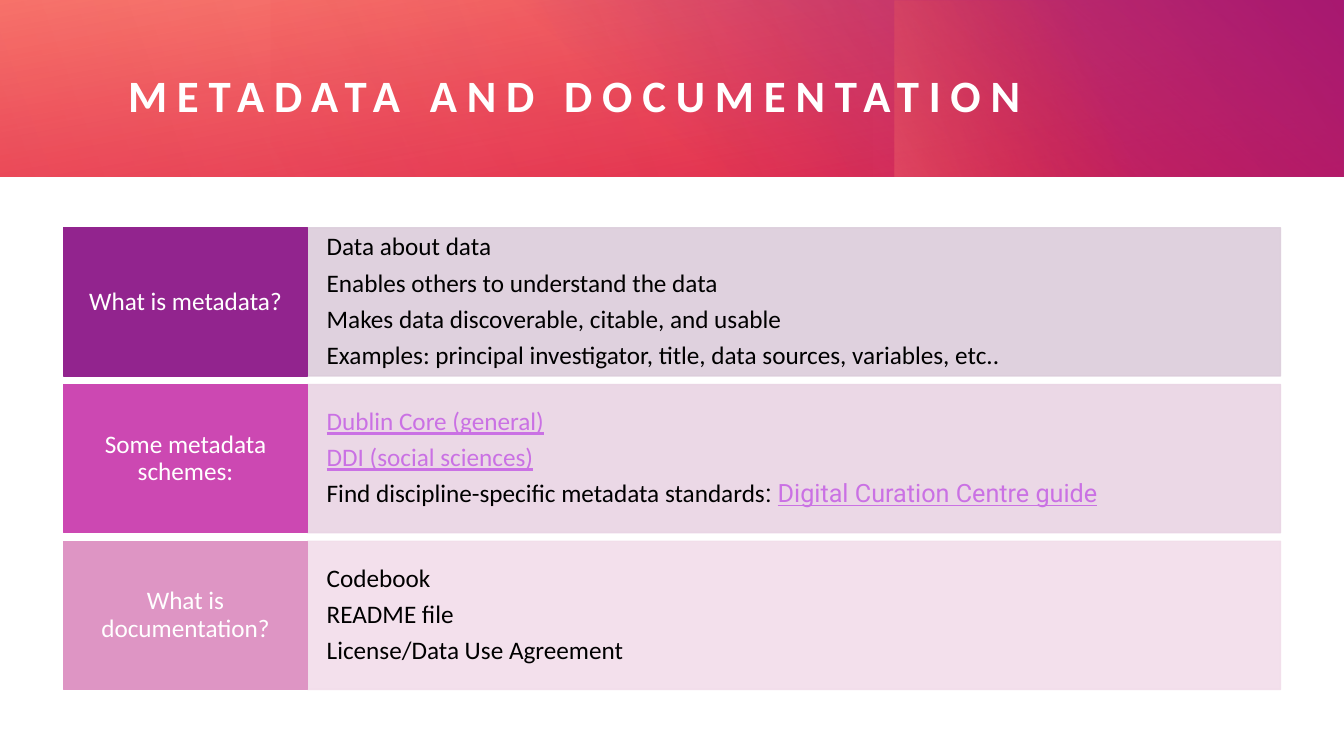
from dataclasses import dataclass

from lxml import etree
from pptx import Presentation
from pptx.dml.color import RGBColor
from pptx.enum.shapes import MSO_SHAPE
from pptx.enum.text import MSO_ANCHOR, MSO_AUTO_SIZE, PP_ALIGN
from pptx.oxml.ns import qn
from pptx.shapes.autoshape import Shape
from pptx.slide import Slide
from pptx.util import Inches, Pt

RECT = MSO_SHAPE.RECTANGLE
MIDDLE = MSO_ANCHOR.MIDDLE
NO_FIT = MSO_AUTO_SIZE.NONE
LEFT, CENTER = PP_ALIGN.LEFT, PP_ALIGN.CENTER

WHITE = RGBColor(0xFF, 0xFF, 0xFF)
BLACK = RGBColor(0x00, 0x00, 0x00)
LINK = RGBColor(0xCA, 0x71, 0xE4)
RED = RGBColor(0xDA, 0x00, 0x2F)
CORAL = RGBColor(0xFF, 0x90, 0x7A)
ORANGE = RGBColor(0xFE, 0x4A, 0x00)
PURPLE = RGBColor(0x92, 0x24, 0x8E)
MAGENTA = RGBColor(0xCC, 0x48, 0xB2)
PINK = RGBColor(0xDE, 0x95, 0xC4)
PALE_PURPLE = RGBColor(0xDC, 0xCD, 0xDB)
PALE_MAGENTA = RGBColor(0xE9, 0xD4, 0xE4)
PALE_PINK = RGBColor(0xF2, 0xDD, 0xEA)

BODY_FONT, ALT_FONT = "Calibri", "Roboto"
BAND_HEIGHT = 1.75
ROW_TOP, ROW_PITCH, ROW_HEIGHT = 2.26, 1.555, 1.47
LABEL_LEFT, LABEL_WIDTH = 0.63, 2.42
DETAIL_LEFT, DETAIL_WIDTH = 3.05, 9.65


@dataclass(frozen=True)
class Stop:
    position: float
    color: RGBColor
    alpha: int = 100


@dataclass(frozen=True)
class Gradient:
    left: float
    top: float
    width: float
    height: float
    angle: int
    start: Stop
    end: Stop
    rotation: int = 0


@dataclass(frozen=True)
class Run:
    text: str
    color: RGBColor = BLACK
    font: str = BODY_FONT
    underline: bool = False


@dataclass(frozen=True)
class Row:
    label: str
    color: RGBColor
    pale: RGBColor
    details: list[list[Run]]


BAND = [
    Gradient(0, 0, 13.33, BAND_HEIGHT, 260, Stop(0, RED, 83), Stop(1, CORAL)),
    Gradient(4.81, 0, 8.52, BAND_HEIGHT, 310, Stop(0.22, PURPLE, 0), Stop(0.99, PURPLE)),
    Gradient(9.87, -0.99, BAND_HEIGHT, 3.74, 250, Stop(0.45, ORANGE, 0), Stop(0.99, CORAL, 33), 270),
    Gradient(2.68, 0, 10.64, BAND_HEIGHT, 330, Stop(0, RED, 30), Stop(0.99, RED, 0), 180),
    Gradient(0, 0, 8.65, BAND_HEIGHT, 340, Stop(0, RED, 21), Stop(0.99, RED, 0)),
]

ROWS = [
    Row("What is metadata?", PURPLE, PALE_PURPLE, [
        [Run("Data about data")],
        [Run("Enables others to understand the data")],
        [Run("Makes data discoverable, citable, and usable")],
        [Run("Examples: principal investigator, title, data sources, variables, etc..")],
    ]),
    Row("Some metadata schemes:", MAGENTA, PALE_MAGENTA, [
        [Run("Dublin Core (general)", LINK, underline=True)],
        [Run("DDI (social sciences)", LINK, underline=True)],
        [Run("Find discipline-specific metadata standards"),
         Run(": ", font=ALT_FONT),
         Run("Digital Curation Centre guide", LINK, ALT_FONT, True)],
    ]),
    Row("What is documentation?", PINK, PALE_PINK, [
        [Run("Codebook")],
        [Run("README file")],
        [Run("License/Data Use Agreement")],
    ]),
]


def set_alpha(sp: Shape, alphas: list[int]) -> None:
    for color, alpha in zip(sp._element.spPr.iter(qn("a:srgbClr")), alphas):
        if alpha < 100:
            etree.SubElement(color, qn("a:alpha")).set("val", str(alpha * 1000))


def add_rect(s: Slide, left: float, top: float, width: float, height: float) -> Shape:
    sp = s.shapes.add_shape(RECT, Inches(left), Inches(top), Inches(width), Inches(height))
    sp.shadow.inherit = False
    return sp


def add_gradient(s: Slide, g: Gradient) -> None:
    sp = add_rect(s, g.left, g.top, g.width, g.height)
    sp.rotation = g.rotation
    sp.line.fill.background()
    sp.fill.gradient()
    sp.fill.gradient_angle = 360 - g.angle
    for target, stop in zip(sp.fill.gradient_stops, (g.start, g.end)):
        target.position = stop.position
        target.color.rgb = stop.color
    set_alpha(sp, [g.start.alpha, g.end.alpha])


def add_cell(s: Slide, left: float, top: float, width: float, color: RGBColor, alpha: int,
             margins: tuple[float, float], align: PP_ALIGN, lines: list[list[Run]]) -> None:
    sp = add_rect(s, left, top, width, ROW_HEIGHT)
    sp.fill.solid()
    sp.fill.fore_color.rgb = color
    sp.line.color.rgb = color
    sp.line.width = Pt(1)
    set_alpha(sp, [alpha, alpha])
    tf = sp.text_frame
    tf.word_wrap = True
    tf.vertical_anchor = MIDDLE
    tf.margin_left = tf.margin_right = Inches(margins[0])
    tf.margin_top = tf.margin_bottom = Inches(margins[1])
    for i, runs in enumerate(lines):
        p = tf.add_paragraph() if i else tf.paragraphs[0]
        p.alignment = align
        p.line_spacing = 0.9
        p.space_after = Pt(6.3)
        for run in runs:
            r = p.add_run()
            r.text = run.text
            r.font.name = run.font
            r.font.size = Pt(18)
            r.font.color.rgb = run.color
            if run.underline:
                r.font.underline = True


def add_title(s: Slide, text: str) -> None:
    sp = s.shapes.title
    s.shapes._spTree.append(sp._element)
    sp.left, sp.top, sp.width, sp.height = Inches(1.27), Inches(0.41), Inches(11.35), Inches(1.06)
    tf = sp.text_frame
    tf.word_wrap = True
    tf.auto_size = NO_FIT
    tf.vertical_anchor = MIDDLE
    tf.margin_left = tf.margin_right = tf.margin_top = tf.margin_bottom = 0
    p = tf.paragraphs[0]
    p.alignment = LEFT
    r = p.add_run()
    r.text = text
    r.font.name = BODY_FONT
    r.font.size = Pt(32)
    r.font.bold = True
    r.font.color.rgb = WHITE
    r.font._element.set("spc", "700")


def main() -> None:
    prs = Presentation()
    prs.slide_width, prs.slide_height = Inches(13.33), Inches(7.5)
    s = prs.slides.add_slide(prs.slide_layouts[5])
    s.background.fill.solid()
    s.background.fill.fore_color.rgb = WHITE
    for gradient in BAND:
        add_gradient(s, gradient)
    add_title(s, "METADATA AND DOCUMENTATION")
    for i, row in enumerate(ROWS):
        top = ROW_TOP + i * ROW_PITCH
        add_cell(s, DETAIL_LEFT, top, DETAIL_WIDTH, row.pale, 90, (0.19, 0.37), LEFT, row.details)
        add_cell(s, LABEL_LEFT, top, LABEL_WIDTH, row.color, 100, (0.13, 0.14), CENTER,
                 [[Run(row.label, WHITE)]])
    prs.save("out.pptx")


if __name__ == "__main__":
    main()
